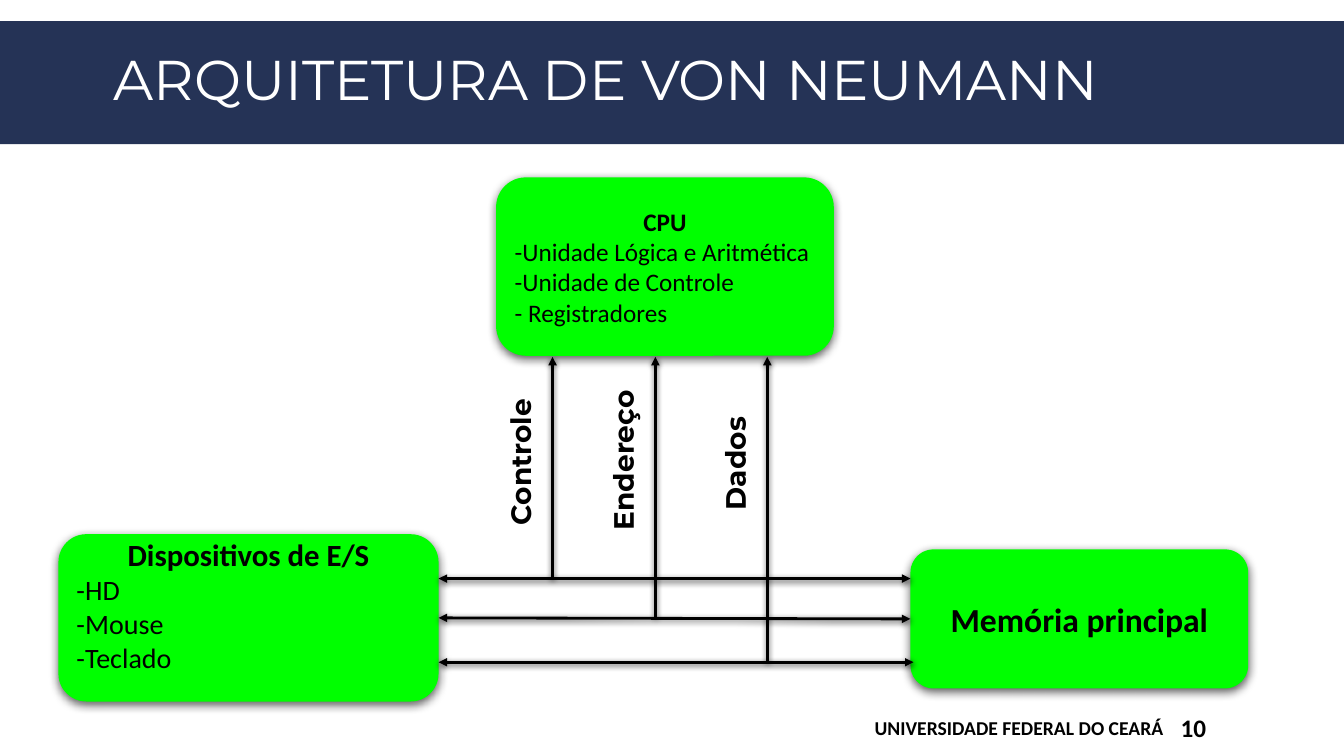
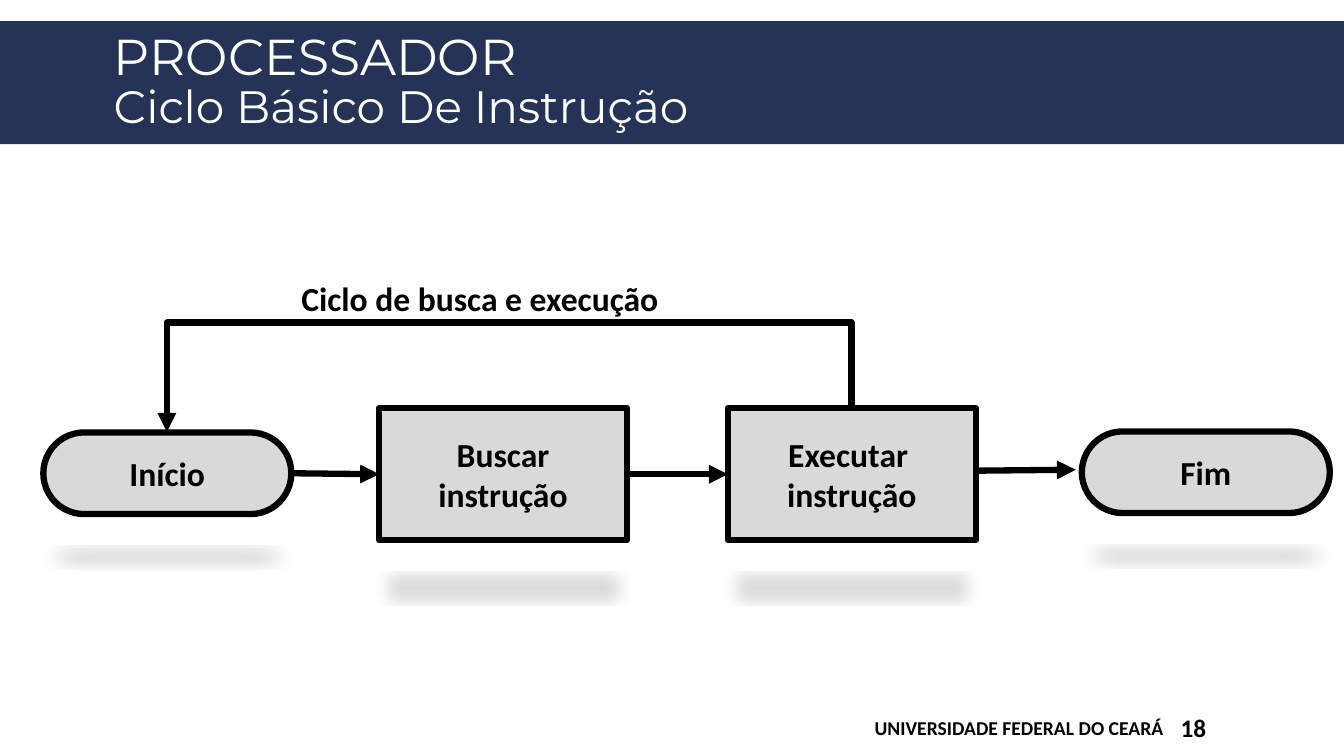
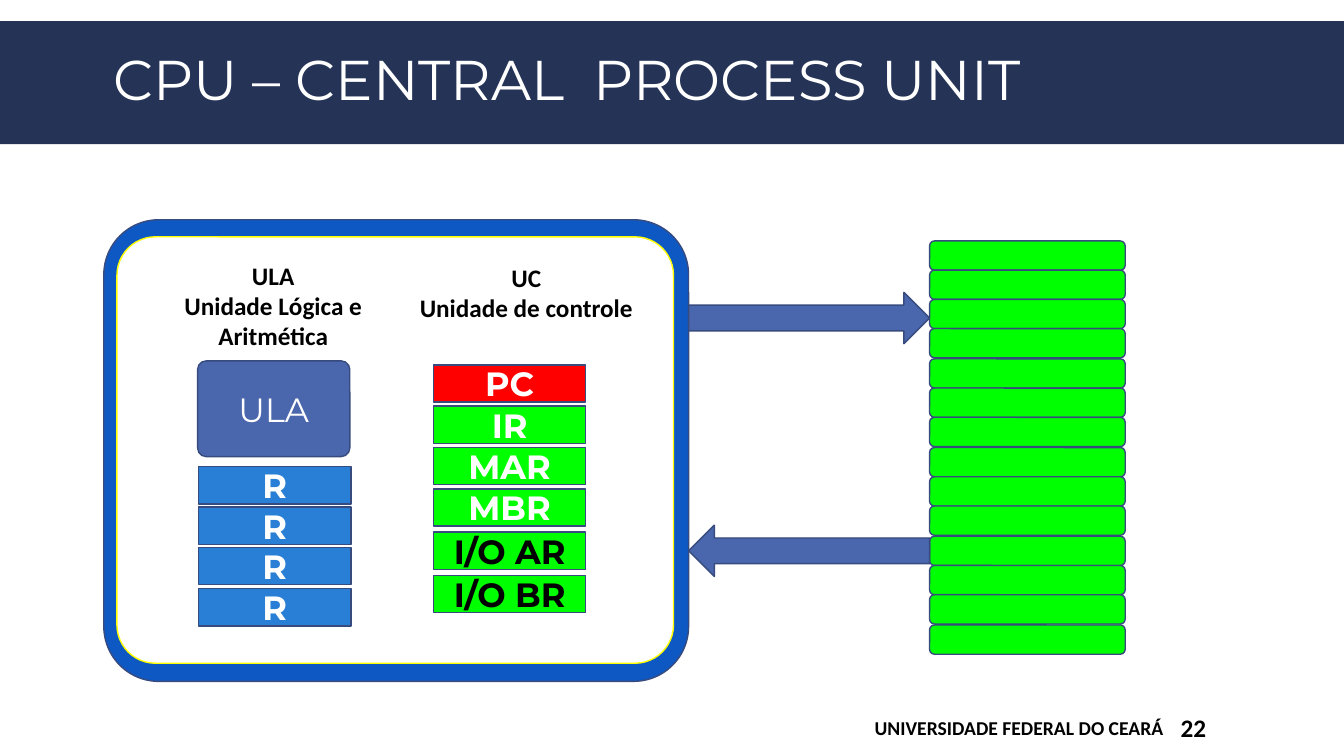
from dataclasses import dataclass

from pptx import Presentation
from pptx.dml.color import RGBColor
from pptx.enum.shapes import MSO_CONNECTOR, MSO_SHAPE
from pptx.enum.text import MSO_ANCHOR, PP_ALIGN
from pptx.oxml import parse_xml
from pptx.oxml.ns import nsdecls, qn
from pptx.util import Pt

RECT, ROUND = MSO_SHAPE.RECTANGLE, MSO_SHAPE.ROUNDED_RECTANGLE
RIGHT_ARROW, LEFT_ARROW = MSO_SHAPE.RIGHT_ARROW, MSO_SHAPE.LEFT_ARROW
STRAIGHT, ELBOW = MSO_CONNECTOR.STRAIGHT, MSO_CONNECTOR.ELBOW
LEFT, CENTER, RIGHT = PP_ALIGN.LEFT, PP_ALIGN.CENTER, PP_ALIGN.RIGHT
TOP, MIDDLE = MSO_ANCHOR.TOP, MSO_ANCHOR.MIDDLE
SIDE_TOP, SIDE_LEFT, SIDE_RIGHT = 0, 1, 3
PX = 9144


@dataclass(frozen=True)
class Theme:
    navy: str = "253356"
    white: str = "FFFFFF"
    black: str = "000000"
    green: str = "00FF00"
    gray: str = "D9D9D9"
    red: str = "FF0000"
    yellow: str = "FFFF00"
    frame: str = "0E58C4"
    slate: str = "4A66AC"
    sky: str = "297FD5"
    edge: str = "374B7F"
    title_font: str = "Montserrat"
    body_font: str = "Calibri"
    title: float = 40
    title_pair: tuple = (36, 32.4)
    node: float = 24
    device_heading: float = 22
    label: float = 20
    body: float = 18
    footer: float = 14
    box_shadow: str = 'blurRad="88900" dist="27940" algn="ctr"|63000'
    wire_shadow: str = 'blurRad="50800" dist="15240" algn="ctr"|68000'
    floor_shadow: str = 'blurRad="152400" dist="317500" sx="90000" sy="-19000"|15000'


T = Theme()


def place(slide, kind, box, text="", size=T.body, color=T.black, font=T.body_font,
          bold=True, align=CENTER, anchor=MIDDLE, fill=None, line=None, weight=1,
          corner=None, shadow=None):
    bounds = [n * PX for n in box]
    if kind is None:
        item = slide.shapes.add_textbox(*bounds)
    else:
        item = slide.shapes.add_shape(kind, *bounds)
        item.shadow.inherit = False
        item.fill.solid()
        item.fill.fore_color.rgb = RGBColor.from_string(fill)
        if line:
            item.line.color.rgb = RGBColor.from_string(line)
            item.line.width = Pt(weight)
        else:
            item.line.fill.background()
        if corner is not None:
            item.adjustments[0] = corner
    if shadow:
        geometry, alpha = shadow.split("|")
        item._element.spPr.find(qn("a:effectLst")).append(parse_xml(
            f'<a:outerShdw {nsdecls("a")} {geometry} dir="5400000" rotWithShape="0">'
            f'<a:srgbClr val="{T.black}"><a:alpha val="{alpha}"/></a:srgbClr></a:outerShdw>'))
    frame = item.text_frame
    frame.word_wrap = True
    frame.vertical_anchor = anchor
    frame.text = text
    for paragraph in frame.paragraphs:
        paragraph.alignment = align
        for run in paragraph.runs:
            run.font.name = font
            run.font.size = Pt(size)
            run.font.bold = bold
            run.font.color.rgb = RGBColor.from_string(color)
    return item


def wire(slide, kind, ends, weight, both=False, shadow=None, begin=None, end=None):
    link = slide.shapes.add_connector(kind, *[n * PX for n in ends])
    link.line.color.rgb = RGBColor.from_string(T.black)
    link.line.width = Pt(weight)
    outline = link.line._get_or_add_ln()
    for tag in ("headEnd", "tailEnd") if both else ("tailEnd",):
        outline.append(parse_xml(f'<a:{tag} {nsdecls("a")} type="triangle"/>'))
    effects = parse_xml(f'<a:effectLst {nsdecls("a")}/>')
    if shadow:
        geometry, alpha = shadow.split("|")
        effects.append(parse_xml(
            f'<a:outerShdw {nsdecls("a")} {geometry} dir="5400000" rotWithShape="0">'
            f'<a:srgbClr val="{T.black}"><a:alpha val="{alpha}"/></a:srgbClr></a:outerShdw>'))
    link._element.spPr.append(effects)
    if begin:
        link.begin_connect(*begin)
    if end:
        link.end_connect(*end)
    return link


deck = Presentation()
deck.slide_width, deck.slide_height = 1333 * PX, 750 * PX

slides = []
for heading, number in (
    ("ARQUITETURA DE VON NEUMANN", "10"),
    ("PROCESSADOR\vCiclo Básico De Instrução", "18"),
    ("CPU – CENTRAL  PROCESS UNIT", "22"),
):
    slide = deck.slides.add_slide(deck.slide_layouts[6])
    place(slide, RECT, (0, 21, 1333, 122), fill=T.navy)
    title = place(slide, None, (103, 25, 1133, 116), heading, T.title, T.white,
                  T.title_font, bold=False, align=LEFT)
    title_line = title.text_frame.paragraphs[0]
    title_line.line_spacing = 0.85
    if len(title_line.runs) > 1:
        for run, size in zip(title_line.runs, T.title_pair):
            run.font.size = Pt(size)
    place(slide, None, (612, 702, 552, 40), "UNIVERSIDADE FEDERAL DO CEARÁ", T.footer, align=RIGHT)
    page = place(slide, None, (1166, 702, 103, 40), number, align=LEFT)
    page.text_frame.margin_left = 5 * PX
    slides.append(slide)

architecture, cycle, processor = slides

cpu = place(architecture, ROUND, (492, 176, 335, 177),
            "CPU\n-Unidade Lógica e Aritmética\n-Unidade de Controle\n- Registradores",
            bold=False, align=LEFT, fill=T.green, shadow=T.box_shadow)
devices = place(architecture, ROUND, (58, 530, 377, 166),
                "Dispositivos de E/S\n-HD\n-Mouse\n-Teclado", T.label,
                bold=False, align=LEFT, fill=T.green, shadow=T.box_shadow)
devices.text_frame.margin_bottom = 31 * PX
for unit, size in ((cpu, T.body), (devices, T.device_heading)):
    unit_heading = unit.text_frame.paragraphs[0]
    unit_heading.alignment = CENTER
    unit_heading.runs[0].font.bold = True
    unit_heading.runs[0].font.size = Pt(size)
memory = place(architecture, ROUND, (903, 545, 335, 138), "Memória principal", T.node,
               fill=T.green, shadow=T.box_shadow)

wire(architecture, STRAIGHT, (435, 613, 903, 614), 2, True, T.wire_shadow,
     (devices, SIDE_RIGHT), (memory, SIDE_LEFT))
for y, right in ((657, 906), (574, 903)):
    wire(architecture, STRAIGHT, (435, y, right, y), 2, True, T.wire_shadow)
for bus, x, bottom, label_top, label_height in (
    ("Controle", 548, 574, 389, 142),
    ("Endereço", 650, 612, 380, 156),
    ("Dados", 761, 657, 411, 105),
):
    wire(architecture, STRAIGHT, (x, bottom, x, 354), 2, shadow=T.wire_shadow)
    bus_label = place(architecture, None, (x - 54, label_top, 54, label_height), bus,
                      T.label, font=T.title_font, align=LEFT, anchor=TOP)
    bus_label.text_frame.word_wrap = False
    bus_label.text_frame._txBody.bodyPr.set("vert", "vert270")

start, finish, fetch, execute = [
    place(cycle, kind, box, step, T.node, fill=T.gray, line=T.black, weight=4.5,
          corner=corner, shadow=T.floor_shadow)
    for step, kind, box, corner in (
        ("Início", ROUND, (43, 429, 246, 81), 0.5),
        ("Fim", ROUND, (1073, 428, 246, 81), 0.5),
        ("Buscar instrução", RECT, (376, 405, 246, 131), None),
        ("Executar \ninstrução", RECT, (722, 405, 246, 131), None),
    )
]
for before, after in ((start, fetch), (fetch, execute)):
    wire(cycle, STRAIGHT, (0, 0, 0, 0), 4.5, begin=(before, SIDE_RIGHT), end=(after, SIDE_LEFT))
wire(cycle, STRAIGHT, (967, 467, 1067, 466), 4.5)

loop = wire(cycle, ELBOW, (845, 405, 166, 429), 4.5,
            begin=(execute, SIDE_TOP), end=(start, SIDE_TOP))
loop.left, loop.top, loop.width, loop.height = [n * PX for n in (493, 77, 24, 679)]
for key, value in (("rot", "16200000"), ("flipH", "1"), ("flipV", "1")):
    loop._element.spPr.find(qn("a:xfrm")).set(key, value)
bend = loop._element.spPr.find(qn("a:prstGeom"))
bend.get_or_add_avLst().append(
    parse_xml(f'<a:gd {nsdecls("a")} name="adj1" fmla="val -351700"/>'))
loop_label = place(cycle, None, (289, 271, 390, 50), "Ciclo de busca e execução", T.node,
                   align=LEFT, anchor=TOP)
loop_label.text_frame.word_wrap = False

place(processor, ROUND, (103, 218, 580, 458), fill=T.frame, line=T.edge, corner=0.119)
place(processor, ROUND, (116, 235, 552, 423), fill=T.white, line=T.yellow, corner=0.09)
place(processor, None, (399, 255, 246, 71), "UC\nUnidade de controle", anchor=TOP)
place(processor, None, (148, 253, 246, 101), "ULA\nUnidade Lógica e Aritmética", anchor=TOP)
place(processor, ROUND, (196, 358, 151, 95), "ULA", T.node, T.white, T.title_font,
      bold=False, fill=T.slate, line=T.edge, corner=0.09)

registers = [
    ("PC", 430, 362, T.red, T.white),
    ("IR", 430, 403, T.green, T.white),
    ("MAR", 430, 444, T.green, T.white),
    ("MBR", 430, 485, T.green, T.white),
    ("I/O AR", 430, 528, T.green, T.black),
    ("I/O BR", 430, 571, T.green, T.black),
]
registers += [("R", 197, 463 + i * 121 // 3, T.sky, T.white) for i in range(4)]
for register, left, top, fill, color in registers:
    place(processor, RECT, (left, top, 151, 37), register, T.node, color, T.title_font,
          fill=fill, line=T.edge)

for i in range(14):
    place(processor, ROUND, (922, 239 + i * 381 // 13, 194, 29), fill=T.green, line=T.edge)
for arrow, top in ((RIGHT_ARROW, 290), (LEFT_ARROW, 521)):
    place(processor, arrow, (683, top, 239, 51), fill=T.slate, line=T.edge)

deck.save("out.pptx")
